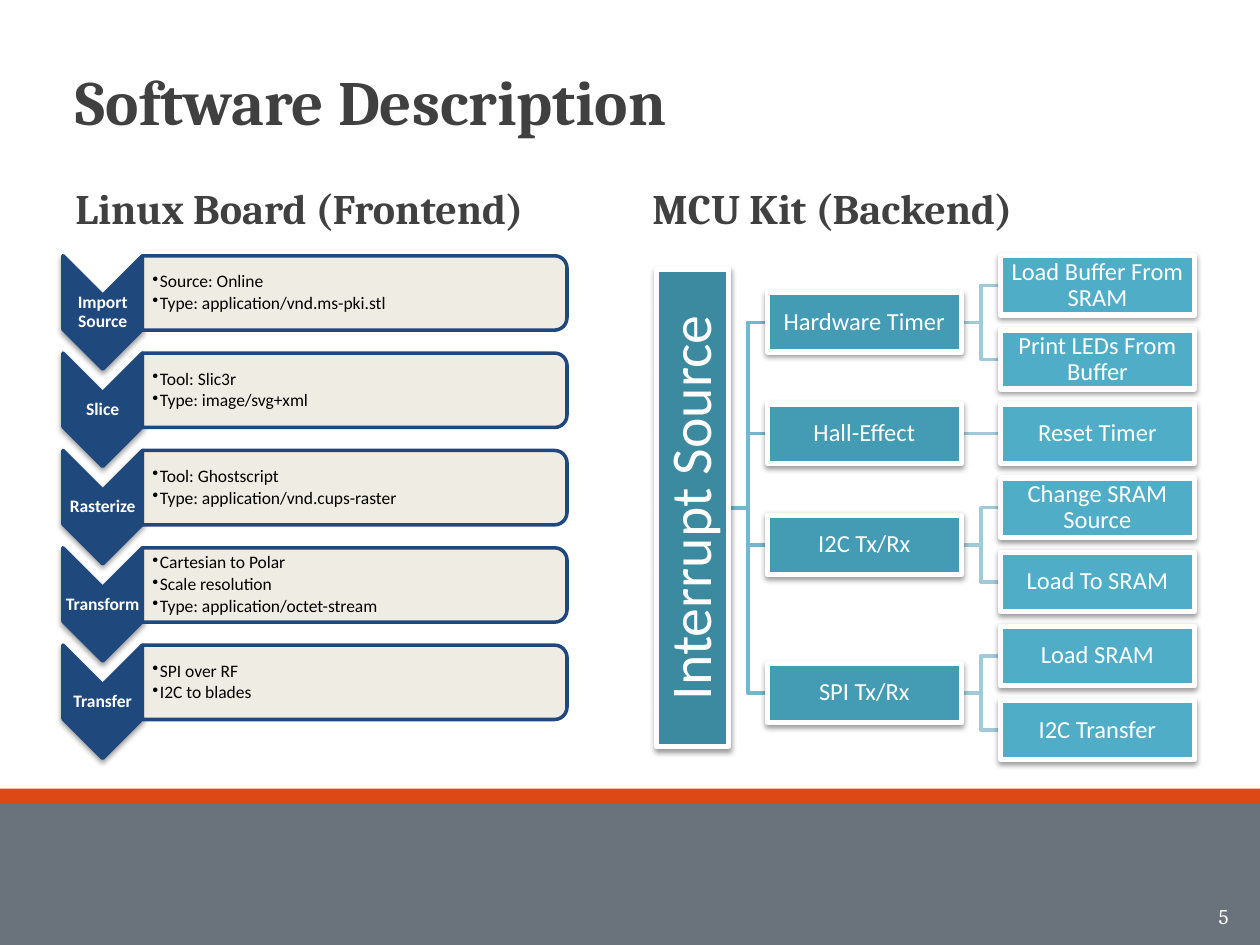
import pptx
import pptx.dml.color
import pptx.enum.shapes
import pptx.enum.text
import pptx.oxml
import pptx.oxml.ns
import pptx.util

SHAPE = pptx.enum.shapes.MSO_SHAPE
ALIGN = pptx.enum.text.PP_ALIGN
MIDDLE = pptx.enum.text.MSO_ANCHOR.MIDDLE
COLOURS = {
    "heading": "404040", "white": "FFFFFF", "black": "000000",
    "footer": "6A737B", "stripe": "DD4814", "navy": "1F497D",
    "cream": "EEECE1", "source": "3C8A9F", "trigger": "449CB4",
    "action": "50ADC7", "trigger_link": "71B7CD", "action_link": "A0CAD9",
}
# The slide is a grid of 100 columns by 75 rows; boxes are (left, top, width, height)
COLUMNS, ROWS = 100, 75
UNIT = pptx.util.Inches(0.1)
INSET = 0.01
HEADING = {"name": "Cambria", "bold": True}
BODY = {"name": "Calibri", "bold": False}

STEPS = [
    ("Import Source", ["Source: Online", "Type: application/vnd.ms-pki.stl"]),
    ("Slice", ["Tool: Slic3r", "Type: image/svg+xml"]),
    ("Rasterize", ["Tool: Ghostscript", "Type: application/vnd.cups-raster"]),
    ("Transform", ["Cartesian to Polar", "Scale resolution",
                   "Type: application/octet-stream"]),
    ("Transfer", ["SPI over RF", "I2C to blades"]),
]
INTERRUPTS = [
    ("Hardware Timer", ["Load Buffer From SRAM", "Print LEDs From Buffer"]),
    ("Hall-Effect", ["Reset Timer"]),
    ("I2C Tx/Rx", ["Change SRAM Source", "Load To SRAM"]),
    ("SPI Tx/Rx", ["Load SRAM", "I2C Transfer"]),
]


def rgb(name):
    return pptx.dml.color.RGBColor.from_string(COLOURS[name])


def grid(*lengths):
    return [round(length * UNIT) for length in lengths]


def append_xml(parent, xml):
    ns = pptx.oxml.ns.nsdecls("a")
    parent.append(pptx.oxml.parse_xml(xml.replace("/>", f" {ns}/>", 1)
                                      if xml.endswith("/>") and xml.count("<") == 1
                                      else xml.replace(">", f" {ns}>", 1)))


def write(holder, lines, font, colour, align=ALIGN.LEFT, inset=None,
          spacing=None, after=0, bullet=False):
    """Fill a shape's text frame, one paragraph for each line."""
    frame = holder.text_frame
    settings = {"word_wrap": True, "vertical_anchor": MIDDLE,
                "auto_size": pptx.enum.text.MSO_AUTO_SIZE.NONE}
    if inset:
        sides = ("margin_left", "margin_top", "margin_right", "margin_bottom")
        settings.update(zip(sides, map(pptx.util.Inches, inset)))
    for key, value in settings.items():
        setattr(frame, key, value)
    for index, line in enumerate(lines):
        paragraph = frame.add_paragraph() if index else frame.paragraphs[0]
        if bullet:
            properties = paragraph._p.get_or_add_pPr()
            indent = pptx.util.Inches(0.06)
            properties.set("marL", str(indent))
            properties.set("indent", str(-indent))
            append_xml(properties, '<a:buChar char="•"/>')
        layout = {"alignment": align, "line_spacing": spacing,
                  "space_before": pptx.util.Pt(0),
                  "space_after": pptx.util.Pt(after)}
        for key, value in layout.items():
            setattr(paragraph, key, value)
        run = paragraph.add_run()
        run.text = line
        for key, value in font.items():
            setattr(run.font, key, value)
        run.font.color.rgb = rgb(colour)


def sized(font, points):
    return {**font, "size": pptx.util.Pt(points)}


def add_text(slide, box, *args, **kwargs):
    write(slide.shapes.add_textbox(*grid(*box)), *args, **kwargs)


def add_block(slide, kind, box, fill, line=None, weight=0, rotation=0, shadow=False):
    """Draw a shape that covers the box once it has been rotated."""
    left, top, width, height = box
    if rotation:
        left, top = left + (width - height) / 2, top + (height - width) / 2
        width, height = height, width
    block = slide.shapes.add_shape(kind, *grid(left, top, width, height))
    block.rotation = rotation
    block.shadow.inherit = False
    block.fill.solid()
    block.fill.fore_color.rgb = rgb(fill)
    if line:
        block.line.color.rgb = rgb(line)
        block.line.width = pptx.util.Pt(weight)
    else:
        block.line.fill.background()
    if shadow:
        effects = block._element.spPr.find(pptx.oxml.ns.qn("a:effectLst"))
        append_xml(effects, '<a:outerShdw blurRad="40000" dist="20000" dir="5400000" '
                            'rotWithShape="0"><a:srgbClr val="000000">'
                            '<a:alpha val="38000"/></a:srgbClr></a:outerShdw>')
    return block


def add_link(slide, parent, child, colour):
    """Join the right side of the parent to the left side of the child."""
    start = parent.left + parent.width, parent.top + parent.height // 2
    end = child.left, child.top + child.height // 2
    level = abs(start[1] - end[1]) < UNIT / 10
    kinds = pptx.enum.shapes.MSO_CONNECTOR
    link = slide.shapes.add_connector(kinds.STRAIGHT if level else kinds.ELBOW,
                                      *start, *end)
    link.begin_connect(parent, 3)
    link.end_connect(child, 1)
    link.line.color.rgb = rgb(colour)
    link.line.width = pptx.util.Pt(2)
    append_xml(link._element.spPr, "<a:effectLst/>")
    slide.shapes._spTree.insert(2, link._element)  # behind the blocks


def add_footer(slide, box):
    left, top, width, height = box
    stripe = 1.2
    add_block(slide, SHAPE.RECTANGLE, (left, top + 1.1, width, height - 1.1), "footer")
    add_block(slide, SHAPE.RECTANGLE, (left, top, width, stripe), "stripe")
    add_text(slide, (left + 85.1, top + 8.1, 13.4, 4), ["5"],
             {"name": "Cambria", "size": pptx.util.Pt(12)}, "white", ALIGN.RIGHT)


def add_headings(slide, box):
    left, top, width, height = box
    title = slide.shapes.title
    places = dict(zip(("left", "top", "width", "height"), grid(left, top, width, 9.9)))
    for key, value in places.items():
        setattr(title, key, value)
    write(title, ["Software Description"], sized(HEADING, 36), "heading")
    column = 44.2
    for x, heading in ((left, "Linux Board (Frontend)"),
                       (left + width - column, "MCU Kit (Backend)")):
        add_text(slide, (x, top + 10, column, height - 10), [heading],
                 sized(HEADING, 24), "heading")


def add_pipeline(slide, box):
    """Chevron list: a step name with its details beside it."""
    left, top, width, height = box
    arrow_width, arrow_height, panel_height = 6.3, 9, 5.9
    pitch = (height - arrow_height) / (len(STEPS) - 1)
    for index, (step, details) in enumerate(STEPS):
        y = top + index * pitch
        x = left + arrow_width
        add_block(slide, SHAPE.CHEVRON, (left, y, arrow_width, arrow_height),
                  "navy", "navy", 2, rotation=90, shadow=True)
        add_text(slide, (left, y + 3.15, arrow_width, 2.7), [step],
                 {**sized(BODY, 10), "bold": True}, "white", ALIGN.CENTER,
                 [INSET] * 4, 0.9)
        panel = add_block(slide, SHAPE.ROUND_2_SAME_RECTANGLE,
                          (x, y, width - arrow_width, panel_height),
                          "cream", "navy", 2, rotation=90)
        tint = panel._element.spPr.find(".//" + pptx.oxml.ns.qn("a:srgbClr"))
        append_xml(tint, '<a:alpha val="90000"/>')
        add_text(slide, (x, y + 0.3, width - arrow_width - 0.3, 5.3), details,
                 sized(BODY, 10), "black", inset=[0.08, INSET, INSET, INSET],
                 spacing=0.9, after=1.5, bullet=True)


def add_interrupt_tree(slide, box):
    """Tree from the interrupt source through its triggers to their actions."""
    left, top, width, height = box
    root_width, root_height, node_width, node_height = 5.7, 37.9, 15.4, 4.7
    gap = (width - root_width - 2 * node_width) / 2
    trigger_x = left + root_width + gap
    action_x = trigger_x + node_width + gap
    pitch = (height - node_height) / (sum(len(actions) for _, actions in INTERRUPTS) - 1)

    def add_node(label, x, y, fill, size=(node_width, node_height), points=14):
        node = add_block(slide, SHAPE.RECTANGLE, (x, y, *size), fill,
                         "white", 3, shadow=True)
        write(node, [label], sized(BODY, points), "white", ALIGN.CENTER,
              [INSET] * 4, 0.9)
        return node

    rows, first = [], 0
    for _, actions in INTERRUPTS:
        rows.append(top + (first + (len(actions) - 1) / 2) * pitch)
        first += len(actions)
    root_y = (rows[0] + rows[-1] + node_height - root_height) / 2
    root = add_node("Interrupt Source", left, root_y, "source",
                    (root_width, root_height), 33)
    root.text_frame._txBody.bodyPr.set("vert", "vert270")

    first = 0
    for (trigger, actions), y in zip(INTERRUPTS, rows):
        parent = add_node(trigger, trigger_x, y, "trigger")
        add_link(slide, root, parent, "trigger_link")
        for index, action in enumerate(actions, first):
            child = add_node(action, action_x, top + index * pitch, "action")
            add_link(slide, parent, child, "action_link")
        first += len(actions)


def main():
    deck = pptx.Presentation()
    deck.slide_width, deck.slide_height = grid(COLUMNS, ROWS)
    slide = deck.slides.add_slide(deck.slide_layouts[5])
    add_footer(slide, (0, 62.6, COLUMNS, ROWS - 62.6))
    add_headings(slide, (5, 3, 90, 17))
    add_pipeline(slide, (5, 20.3, 40, 39.9))
    add_interrupt_tree(slide, (52.1, 20.3, 42.7, 40))
    deck.save("out.pptx")


if __name__ == "__main__":
    main()
